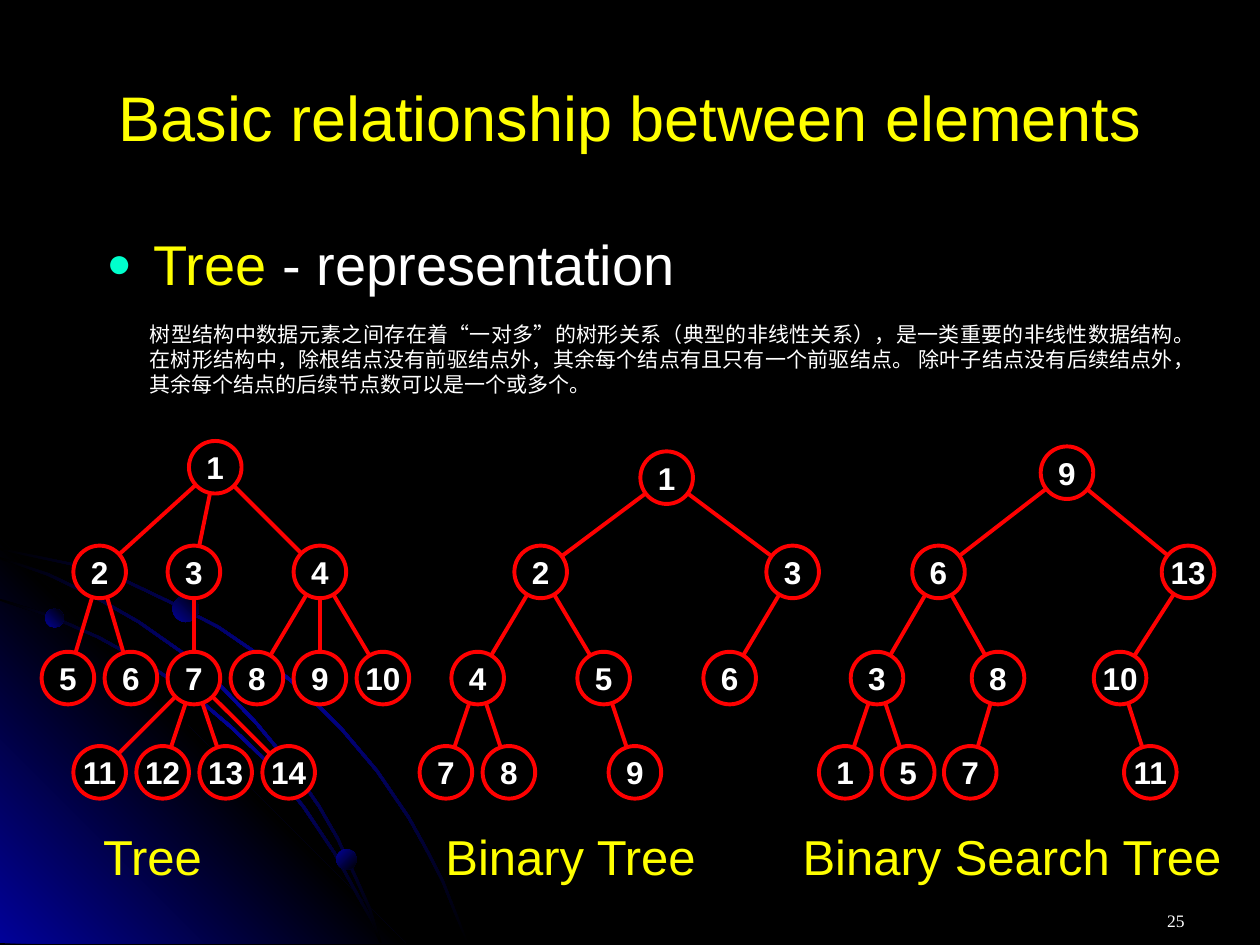
"""Build a slide that shows a tree, a binary tree and a binary search tree."""
from dataclasses import dataclass
from math import hypot

from lxml.etree import SubElement
from pptx import Presentation
from pptx.dml.color import RGBColor
from pptx.enum.shapes import MSO_CONNECTOR, MSO_SHAPE
from pptx.enum.text import MSO_ANCHOR, PP_ALIGN
from pptx.oxml.ns import qn
from pptx.util import Cm, Pt

BLACK, WHITE, RED, YELLOW = "000000", "FFFFFF", "FF0000", "FFFF00"
BLUE, MINT = "010199", "00FFCC"
GLOW = ((0, BLACK), (50, BLUE), (100, BLACK))
SHADE = ((0, BLUE), (50, BLACK), (100, BLUE))
BALL = ((0, BLUE), (100, BLACK))
SIZE = 1.06
BASE = 19.02
ROWS = (11.53, 13.67, 15.57)


@dataclass
class Node:
    text: str
    x: float
    kids: tuple = ()


@dataclass
class Tree:
    top: float
    root: Node


@dataclass
class Orb:
    x: float
    y: float
    size: float
    angle: int


TREES = (
    Tree(9.42, Node("1", 4.34, (
        Node("2", 2.01, (Node("5", 1.37), Node("6", 2.64))),
        Node("3", 3.91, (Node("7", 3.91, (
            Node("11", 2.01), Node("12", 3.28),
            Node("13", 4.55), Node("14", 5.82))),)),
        Node("4", 6.45, (Node("8", 5.18), Node("9", 6.45), Node("10", 7.72)))))),
    Tree(9.63, Node("1", 13.44, (
        Node("2", 10.9, (
            Node("4", 9.63, (Node("7", 8.99), Node("8", 10.26))),
            Node("5", 12.17, (Node("9", 12.8),)))),
        Node("3", 15.98, (Node("6", 14.71),))))),
    Tree(9.53, Node("9", 21.51, (
        Node("6", 18.92, (
            Node("3", 17.68, (Node("1", 17.04), Node("5", 18.31))),
            Node("8", 20.12, (Node("7", 19.56),)))),
        Node("13", 23.95, (Node("10", 22.58, (Node("11", 23.19),)),))))),
)
ARCS = (
    ((0, 11.05), (1.45, 11.35), (2.49, 11.66), (3.45, 12.12), (4.42, 12.62),
     (5.31, 13.23), (6.15, 13.92), (6.91, 14.68), (7.62, 15.52), (8.26, 16.46),
     (8.61, 17.09), (8.94, 17.73), (9.19, 18.36), (9.45, BASE)),
    ((0, 12.07), (1.04, 12.4), (2.01, 12.83), (2.97, 13.36), (3.86, 13.94),
     (4.67, 14.63), (5.46, 15.39), (6.15, 16.26), (6.76, 17.17), (7.26, 18.08),
     (7.52, 18.54), (7.7, BASE)),
    ((0, 11.23), (0.99, 11.56), (1.93, 12.01), (2.82, 12.52), (3.66, 13.11),
     (4.45, 13.79), (5.18, 14.55), (5.82, 15.32), (6.45, 16.23), (6.83, 16.89),
     (7.16, 17.6), (7.47, 18.29), (7.7, BASE)),
)
ORBS = (Orb(0.91, 12.27, 0.38, 45), Orb(6.78, 17.12, 0.41, 315),
        Orb(3.48, 12.01, 0.53, 45))


def paint(hue: str) -> RGBColor:
    """Turn a hex string into a colour."""
    return RGBColor.from_string(hue)


def write(shape, *parts: tuple, size: float, font: str = "Arial", bold: bool = False,
          align=PP_ALIGN.LEFT, anchor=MSO_ANCHOR.TOP, wrap: bool = True,
          pad: tuple = (0.25, 0.13, 0.25, 0.13)):
    """Write parts of (text, colour) in one paragraph and return it."""
    frame = shape.text_frame
    frame.word_wrap, frame.vertical_anchor = wrap, anchor
    (frame.margin_left, frame.margin_top,
     frame.margin_right, frame.margin_bottom) = map(Cm, pad)
    para = frame.paragraphs[0]
    para.alignment = align
    for text, hue in parts:
        run = para.add_run()
        run.text = text
        run.font.size, run.font.name, run.font.bold = Pt(size), font, bold
        run.font.color.rgb = paint(hue)
    return para


def box(slide, *place: float):
    """Add a text box at left, top, width and height."""
    return slide.shapes.add_textbox(*map(Cm, place))


def blend(shape, stops: tuple, angle: int) -> None:
    """Fill a shape with a gradient and take off its line."""
    shape.shadow.inherit = False
    shape.line.fill.background()
    shape.fill.gradient()
    shape.fill.gradient_angle = angle
    ramp = shape._element.spPr.find(".//" + qn("a:gsLst"))
    ramp.clear()
    for pos, hue in stops:
        stop = SubElement(ramp, qn("a:gs"), pos=str(pos * 1000))
        SubElement(stop, qn("a:srgbClr"), val=hue)


def outline(slide, points: list, stops: tuple, angle: int) -> None:
    """Draw a closed outline with a gradient."""
    first, *rest = [(Cm(x), Cm(y)) for x, y in points]
    pen = slide.shapes.build_freeform(*first)
    pen.add_line_segments(rest, close=True)
    blend(pen.convert_to_shape(), stops, angle)


def scene(slide) -> None:
    """Draw the blue glow, arcs and orbs in the corner."""
    outline(slide, [(0, 10.85), (8.18, BASE), (0, BASE)], SHADE, 45)
    for arc in ARCS:
        inner = [(max(x - 0.04, 0), min(y + 0.04, BASE)) for x, y in reversed(arc)]
        outline(slide, [*arc, *inner], GLOW, 315)
    for orb in ORBS:
        place = map(Cm, (orb.x, orb.y, orb.size, orb.size))
        blend(slide.shapes.add_shape(MSO_SHAPE.OVAL, *place), BALL, orb.angle)


def stroke(line) -> None:
    """Give a line its red colour and width."""
    line.color.rgb, line.width = paint(RED), Pt(2.25)


def link(slide, x: float, y: float, x2: float, y2: float) -> None:
    """Join two nodes from rim to rim."""
    part = SIZE / 2 / hypot(x2 - x, y2 - y)
    dx, dy = (x2 - x) * part, (y2 - y) * part
    ends = map(Cm, (x + dx, y + dy, x2 - dx, y2 - dy))
    line = slide.shapes.add_connector(MSO_CONNECTOR.STRAIGHT, *ends)
    stroke(line.line)
    SubElement(line._element.spPr, qn("a:effectLst"))


def draw(slide, node: Node, tops: tuple) -> None:
    """Draw a node with all that hangs below it."""
    y, *below = tops
    for kid in node.kids:
        link(slide, node.x, y, kid.x, below[0])
        draw(slide, kid, below)
    place = map(Cm, (node.x - SIZE / 2, y - SIZE / 2, SIZE, SIZE))
    disc = slide.shapes.add_shape(MSO_SHAPE.OVAL, *place)
    disc.shadow.inherit = False
    disc.fill.solid()
    disc.fill.fore_color.rgb = paint(BLACK)
    stroke(disc.line)
    write(disc, (node.text, WHITE), size=18, bold=True, align=PP_ALIGN.CENTER,
          anchor=MSO_ANCHOR.MIDDLE, wrap=False, pad=(0, 0, 0, 0))


def point(para) -> None:
    """Give a paragraph a round mint bullet."""
    props = para._p.get_or_add_pPr()
    props.set("marL", str(Cm(0.95)))
    props.set("indent", str(Cm(-0.95)))
    SubElement(SubElement(props, qn("a:buClr")), qn("a:srgbClr"), val=MINT)
    SubElement(props, qn("a:buSzPct"), val="75000")
    SubElement(props, qn("a:buFont"), typeface="Arial")
    SubElement(props, qn("a:buChar"), char="●")


def stops(para, *places: float) -> None:
    """Set left tab stops."""
    tabs = SubElement(para._p.get_or_add_pPr(), qn("a:tabLst"))
    for place in places:
        SubElement(tabs, qn("a:tab"), pos=str(Cm(place)), algn="l")


def main() -> None:
    """Build and save the slide."""
    deck = Presentation()
    deck.slide_width, deck.slide_height = Cm(25.4), Cm(19.05)
    slide = deck.slides.add_slide(deck.slide_layouts[5])
    slide.background.fill.solid()
    slide.background.fill.fore_color.rgb = paint(BLACK)
    scene(slide)

    title = slide.shapes.title
    title.left, title.top, title.width, title.height = map(Cm, (1.27, 0.76, 22.86, 3.18))
    write(title, ("Basic relationship between elements", YELLOW), size=36,
          align=PP_ALIGN.CENTER, anchor=MSO_ANCHOR.MIDDLE)
    point(write(box(slide, 1.9, 4.5, 21.59, 1.6),
                ("Tree ", YELLOW), ("- representation", WHITE), size=32))
    write(box(slide, 2.77, 6.35, 21.59, 1.8),
          ("树型结构中数据元素之间存在着“一对多”的树形关系（典型的非线性关系），"
           "是一类重要的非线性数据结构。 在树形结构中，除根结点没有前驱结点外，"
           "其余每个结点有且只有一个前驱结点。 除叶子结点没有后续结点外，"
           "其余每个结点的后续节点数可以是一个或多个。", WHITE),
          size=12, font="Times New Roman", align=PP_ALIGN.JUSTIFY)
    for tree in TREES:
        draw(slide, tree.root, (tree.top, *ROWS))
    stops(write(box(slide, 1.78, 16.51, 23.42, 1.5),
                ("Tree\tBinary Tree\tBinary Search Tree", YELLOW), size=28,
                pad=(0.3, 0.15, 0.3, 0.15)), 6.9, 14.1)
    write(box(slide, 18.21, 17.8, 5.92, 1.27), ("25", WHITE), size=10,
          font="Times New Roman", align=PP_ALIGN.RIGHT, anchor=MSO_ANCHOR.BOTTOM,
          pad=(0.25, 0.13, 0.25, 0.3))
    deck.save("out.pptx")


if __name__ == "__main__":
    main()
